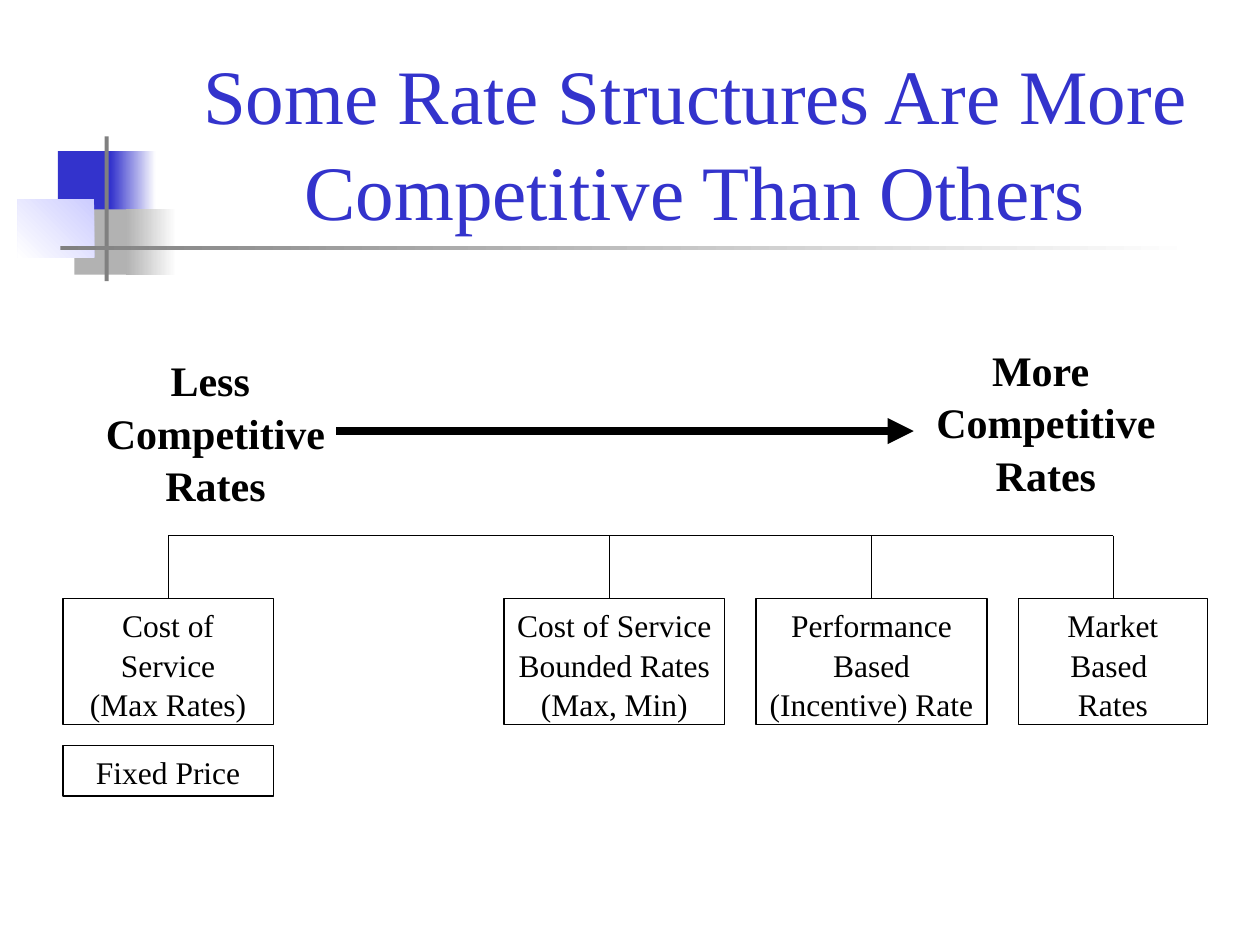
from lxml.etree import SubElement
from pptx import Presentation
from pptx.dml.color import RGBColor
from pptx.enum.shapes import MSO_CONNECTOR as LINE, MSO_SHAPE as SHAPE
from pptx.enum.text import MSO_ANCHOR as ANCHOR, PP_ALIGN as ALIGN
from pptx.oxml.ns import qn
from pptx.util import Cm, Pt

COLORS = {name: RGBColor.from_string(value) for name, value in {
    "blue": "3333CC", "lilac": "CCCCFF", "silver": "B2B2B2",
    "gray": "808080", "black": "000000", "white": "FFFFFF",
}.items()}

deck = Presentation()
deck.slide_width, deck.slide_height = Cm(25.4), Cm(19.05)
page = deck.slides.add_slide(deck.slide_layouts[6])


def write(box, lines, size, color="black", bold=False, wrap=True, anchor=ANCHOR.TOP):
    """Fill a box with centred lines, one paragraph each."""
    frame = box.text_frame
    frame.word_wrap = wrap
    frame.vertical_anchor = anchor
    for index, line in enumerate(lines):
        para = frame.add_paragraph() if index else frame.paragraphs[0]
        para.alignment = ALIGN.CENTER
        para.line_spacing = 1.04
        span = para.add_run()
        span.text = line
        span.font.name = "Times New Roman"
        span.font.size = Pt(size)
        span.font.bold = bold
        span.font.color.rgb = COLORS[color]


def draw_line(x1, y1, x2, y2, width):
    line = page.shapes.add_connector(LINE.STRAIGHT, Cm(x1), Cm(y1), Cm(x2), Cm(y2))
    line.line.color.rgb = COLORS["black"]
    line.line.width = Pt(width)
    SubElement(line._element.spPr, qn("a:effectLst"))
    return line


# Decoration: left, top, width, height, start colour, end colour, angle
for left, top, width, height, start, end, angle in [
    (1.17, 3.05, 1.22, 1.32, "blue", None, 0),
    (2.23, 3.05, 0.91, 1.32, "blue", "white", 0),
    (1.5, 4.22, 1.17, 1.32, "silver", None, 0),
    (2.54, 4.22, 1.02, 1.32, "silver", "white", 0),
    (0.35, 4.02, 1.55, 1.17, "lilac", "white", 225),
    (2.11, 2.75, 0.08, 2.92, "gray", None, 0),
    (1.22, 4.95, 22.86, 0.09, "gray", "white", 0),
]:
    block = page.shapes.add_shape(SHAPE.RECTANGLE, Cm(left), Cm(top), Cm(width), Cm(height))
    block.shadow.inherit = False
    block.line.fill.background()
    if end:
        block.fill.gradient()
        block.fill.gradient_angle = angle
        for stop, color in zip(block.fill.gradient_stops, (start, end)):
            stop.color.rgb = COLORS[color]
    else:
        block.fill.solid()
        block.fill.fore_color.rgb = COLORS[start]

title = page.shapes.add_textbox(Cm(3.2), Cm(1.7), Cm(21.64), Cm(3.18))
write(title, ["Some Rate Structures Are More Competitive Than Others"], 44, "blue",
      anchor=ANCHOR.BOTTOM)

# Competitiveness scale
for left, top, word in [(1.78, 6.99, "Less "), (18.52, 6.78, "More ")]:
    label = page.shapes.add_textbox(Cm(left), Cm(top), Cm(5.13), Cm(3.3))
    write(label, [word, "Competitive ", "Rates"], 24, bold=True, wrap=False)

arrow = draw_line(6.78, 8.69, 18.42, 8.69, 5)
SubElement(arrow.line._get_or_add_ln(), qn("a:tailEnd"), type="triangle")

# Rate structures hanging from one bar
BAR_TOP, BOX_TOP = 10.8, 12.07
drops = [3.39, 12.28, 17.57, 22.44]
draw_line(drops[0], BAR_TOP, drops[-1], BAR_TOP, 0.75)
for x in drops:
    draw_line(x, BAR_TOP, x, BOX_TOP, 0.75)

for left, top, width, height, lines in [
    (1.27, BOX_TOP, 4.24, 2.54, ["Cost of Service", "(Max Rates)"]),
    (1.27, 15.03, 4.24, 1.02, ["Fixed Price"]),
    (10.16, BOX_TOP, 4.45, 2.54, ["Cost of Service", "Bounded Rates", "(Max, Min)"]),
    (15.24, BOX_TOP, 4.66, 2.54, ["Performance Based (Incentive) Rate"]),
    (20.53, BOX_TOP, 3.81, 2.54, ["Market", "Based ", "Rates"]),
]:
    box = page.shapes.add_shape(SHAPE.RECTANGLE, Cm(left), Cm(top), Cm(width), Cm(height))
    box.shadow.inherit = False
    box.fill.background()
    box.line.color.rgb = COLORS["black"]
    box.line.width = Pt(0.75)
    write(box, lines, 18)

deck.save("out.pptx")
